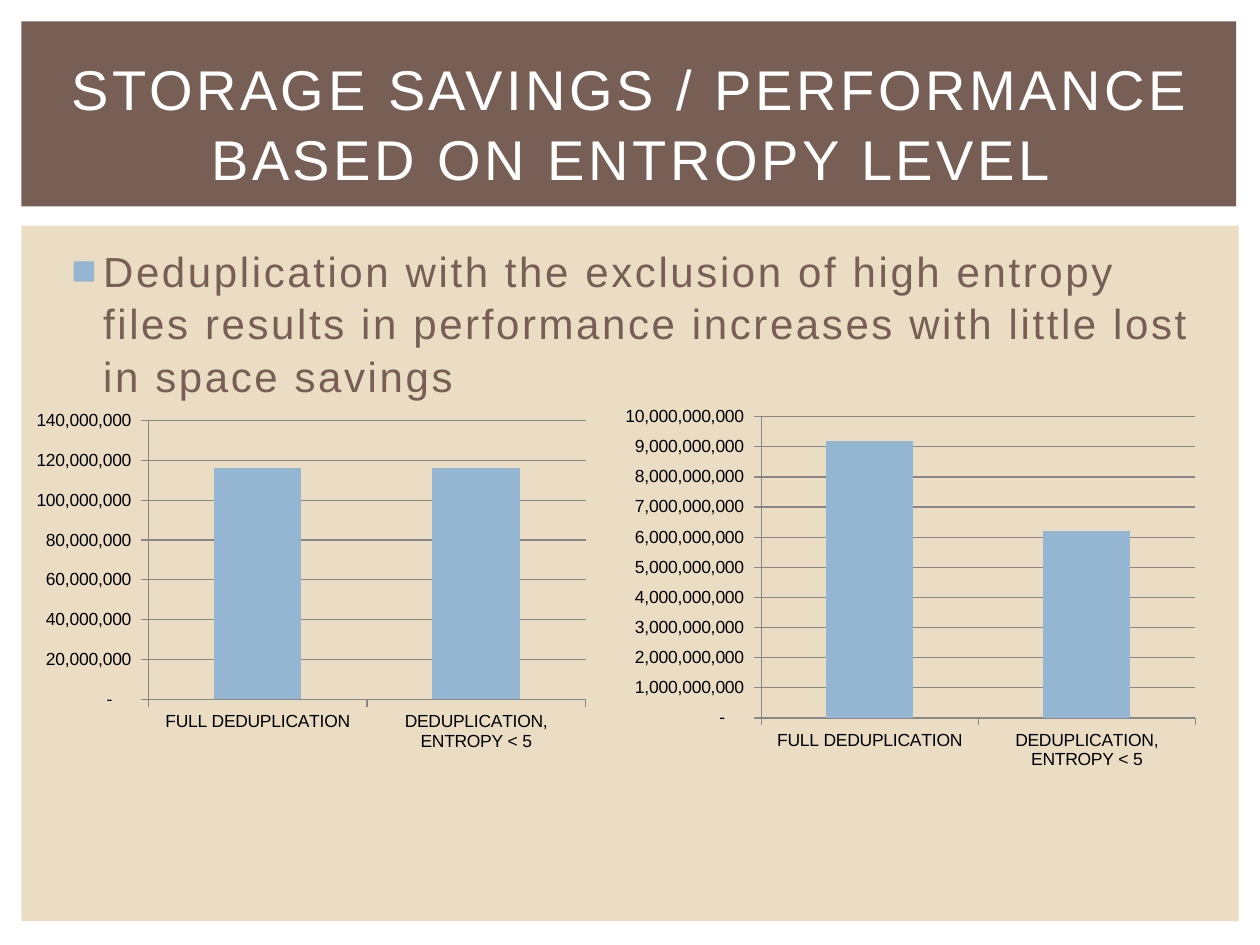
import pptx
import pptx.chart.data
import pptx.dml.color
import pptx.enum.chart
import pptx.enum.shapes
import pptx.enum.text
import pptx.oxml
import pptx.oxml.ns
import pptx.util
from pptx.util import Cm

RGBColor = pptx.dml.color.RGBColor
BROWN = RGBColor(0x77, 0x5F, 0x55)
SAND = RGBColor(0xEB, 0xDD, 0xC3)
BLUE = RGBColor(0x94, 0xB6, 0xD2)
GRAY = RGBColor(0x87, 0x87, 0x87)
WHITE = RGBColor(0xFF, 0xFF, 0xFF)
BLACK = RGBColor(0, 0, 0)

FONT = "Arial"
NUMBER_FORMAT = r'_(* #,##0_);_(* \(#,##0\);_(* "-"??_);_(@_)'
CATEGORIES = ["FULL DEDUPLICATION", "DEDUPLICATION, ENTROPY < 5"]


def add_panel(page, box, color):
    panel = page.shapes.add_shape(pptx.enum.shapes.MSO_SHAPE.RECTANGLE, *box)
    panel.shadow.inherit = False
    panel.fill.solid()
    panel.fill.fore_color.rgb = color
    panel.line.fill.background()


def add_text(page, box, text, size, color, tracking):
    """Place one paragraph with letter spacing in points; return its frame."""
    frame = page.shapes.add_textbox(*box).text_frame
    frame.word_wrap = True
    para = frame.paragraphs[0]
    para.line_spacing = 1.04
    para.font.name = FONT
    para.font.size = pptx.util.Pt(size)
    para.font.color.rgb = color
    span = para.add_run()
    span.text = text
    span.font._element.set("spc", str(int(tracking * 100)))
    return frame


def add_header(page, box):
    left, top, width, height = box
    add_panel(page, box, BROWN)
    title_box = (left + Cm(0.64), top + Cm(0.56), width - Cm(1.19), Cm(2.92))
    frame = add_text(page, title_box,
                     "STORAGE SAVINGS / PERFORMANCE BASED ON ENTROPY LEVEL",
                     32, WHITE, 2)
    frame.vertical_anchor = pptx.enum.text.MSO_ANCHOR.MIDDLE
    frame.paragraphs[0].alignment = pptx.enum.text.PP_ALIGN.CENTER


def add_bullet(para, mark, color):
    properties = para._p.get_or_add_pPr()
    properties.set("marL", str(Cm(0.76)))
    properties.set("indent", str(-Cm(0.64)))
    namespace = pptx.oxml.ns.nsdecls("a")
    bullet_parts = (
        f'<a:buClr {namespace}><a:srgbClr val="{color}"/></a:buClr>',
        f'<a:buFont {namespace} typeface="{FONT}"/>',
        f'<a:buChar {namespace} char="{mark}"/>',
    )
    default_font = properties.find(pptx.oxml.ns.qn("a:defRPr"))
    for part in bullet_parts:
        default_font.addprevious(pptx.oxml.parse_xml(part))


def add_column_chart(page, box, values, top_value, step, plot=None):
    data = pptx.chart.data.CategoryChartData(number_format=NUMBER_FORMAT)
    data.categories = CATEGORIES
    data.add_series("Series 1", values)
    kind = pptx.enum.chart.XL_CHART_TYPE.COLUMN_CLUSTERED
    chart = page.shapes.add_chart(kind, *box, data).chart
    chart.has_legend = False
    chart.has_title = False
    chart.font.name = FONT
    chart.font.size = pptx.util.Pt(10)
    chart.font.color.rgb = BLACK

    columns = chart.plots[0]
    columns.vary_by_categories = False
    columns.gap_width = 150
    columns.series[0].format.fill.solid()
    columns.series[0].format.fill.fore_color.rgb = BLUE

    # Axes and gridlines
    scale = chart.value_axis
    scale.minimum_scale = 0
    scale.maximum_scale = top_value
    scale.major_unit = step
    scale.has_major_gridlines = True
    scale.tick_labels.number_format = NUMBER_FORMAT
    scale.tick_labels.number_format_is_linked = False
    for axis in (scale, chart.category_axis):
        axis.major_tick_mark = pptx.enum.chart.XL_TICK_MARK.OUTSIDE
        axis.minor_tick_mark = pptx.enum.chart.XL_TICK_MARK.NONE
    for line in (scale.format.line, chart.category_axis.format.line,
                 scale.major_gridlines.format.line):
        line.color.rgb = GRAY
        line.width = pptx.util.Pt(0.75)

    # Fixed inner plot area, as fractions of the chart
    if plot:
        sizes = "".join(f'<c:{name} val="{value}"/>'
                        for name, value in zip("xywh", plot))
        layout = pptx.oxml.parse_xml(
            f'<c:layout {pptx.oxml.ns.nsdecls("c")}><c:manualLayout>'
            '<c:layoutTarget val="inner"/><c:xMode val="edge"/>'
            f'<c:yMode val="edge"/>{sizes}</c:manualLayout></c:layout>')
        area = chart._chartSpace.chart.plotArea
        for old_layout in area.findall(pptx.oxml.ns.qn("c:layout")):
            area.remove(old_layout)
        area.insert(0, layout)


def add_content(page, box):
    left, top, width, height = box
    add_panel(page, box, SAND)
    text_box = (left + Cm(0.64), top + Cm(0.23), width - Cm(1.19), Cm(3.3))
    frame = add_text(page, text_box,
                     "Deduplication with the exclusion of high entropy files "
                     "results in performance increases with little lost in "
                     "space savings", 24, BROWN, 1.5)
    add_bullet(frame.paragraphs[0], "\u25a0", BLUE)

    # Space used on the left, run time on the right
    chart_top = top + Cm(3.5)
    add_column_chart(page, (left + Cm(0.21), chart_top, Cm(11.63), Cm(7.2)),
                     (116_000_000, 116_000_000), 140_000_000, 20_000_000,
                     plot=(0.2, 0.06, 0.76, 0.78))
    add_column_chart(page, (left + Cm(11.84), chart_top, Cm(12.07), Cm(7.62)),
                     (9_200_000_000, 6_200_000_000),
                     10_000_000_000, 1_000_000_000)


deck = pptx.Presentation()
deck.slide_width = Cm(25.4)
deck.slide_height = Cm(19.05)
page = deck.slides.add_slide(deck.slide_layouts[6])
add_content(page, (Cm(0.43), Cm(4.55), Cm(24.54), Cm(14.02)))
add_header(page, (Cm(0.43), Cm(0.43), Cm(24.49), Cm(3.73)))
deck.save("out.pptx")
